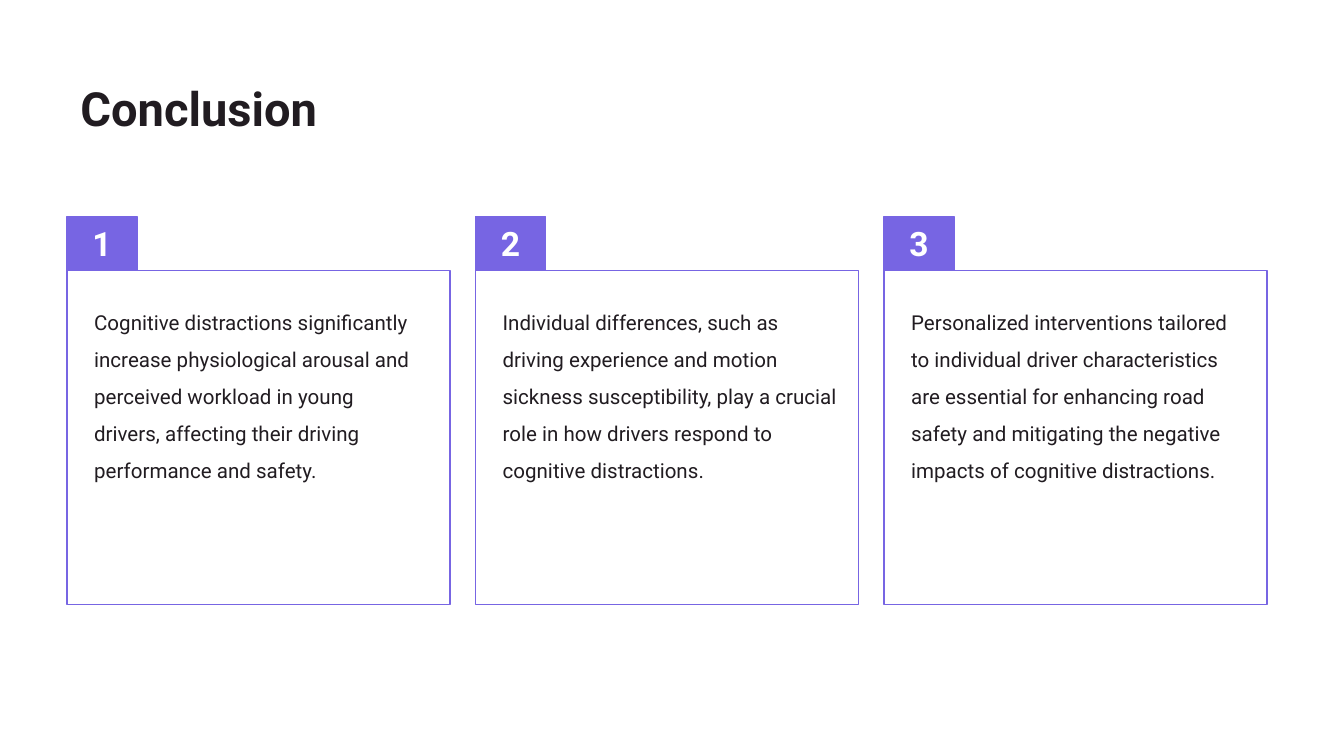
from dataclasses import dataclass

from lxml import etree
from pptx import Presentation
from pptx import util as u
from pptx.dml.color import RGBColor
from pptx.enum import shapes, text
from pptx.oxml.ns import qn


@dataclass(frozen=True)
class Theme:
    font: str = "Roboto"
    ink: RGBColor = RGBColor(0x21, 0x1C, 0x21)
    accent: RGBColor = RGBColor(0x77, 0x65, 0xE3)
    paper: RGBColor = RGBColor(0xFF, 0xFF, 0xFF)
    title: u.Pt = u.Pt(25.2)
    number: u.Pt = u.Pt(18)
    body: u.Pt = u.Pt(11)


theme = Theme()


def add_box(left, top, width, height, fill):
    s = slide.shapes.add_shape(shapes.MSO_SHAPE.RECTANGLE, u.Cm(left), u.Cm(top),
                               u.Cm(width), u.Cm(height))
    s.shadow.inherit = False
    s.fill.solid()
    s.fill.fore_color.rgb = fill
    s.line.color.rgb = theme.accent
    s.line.width = u.Pt(0.75)
    return s


def write(s, words, size, color, bold, align, anchor, insets):
    """Set the only paragraph of a shape; insets are left, top, right, bottom in cm."""
    tf = s.text_frame
    tf.word_wrap = True
    tf.vertical_anchor = anchor
    tf.margin_left, tf.margin_top, tf.margin_right, tf.margin_bottom = map(u.Cm, insets)
    p = tf.paragraphs[0]
    p.text = words
    p.alignment = align
    p.font.name = theme.font
    p.font.size = size
    p.font.bold = bold
    p.font.color.rgb = color
    return p


prs = Presentation()
prs.slide_width, prs.slide_height = u.Cm(25.4), u.Cm(14.29)
slide = prs.slides.add_slide(prs.slide_layouts[6])

left, card_top, card_width, card_height, pitch = 1.27, 5.11, 7.24, 6.32, 7.72
tag_width, tag_height = 1.32, 1.02

# Each conclusion with the right inset of its card
conclusions = [
    ("Cognitive distractions significantly increase physiological arousal and "
     "perceived workload in young drivers, affecting their driving performance "
     "and safety.", 0.51),
    ("Individual differences, such as driving experience and motion sickness "
     "susceptibility, play a crucial role in how drivers respond to cognitive "
     "distractions.", 0.38),
    ("Personalized interventions tailored to individual driver characteristics "
     "are essential for enhancing road safety and mitigating the negative "
     "impacts of cognitive distractions.", 0.38),
]

title = slide.shapes.add_textbox(u.Cm(left), u.Cm(1.24), u.Cm(22.86), u.Cm(1.6))
write(title, "Conclusion", theme.title, theme.ink, True, text.PP_ALIGN.LEFT,
      text.MSO_ANCHOR.MIDDLE, (0.25, 0.25, 0.25, 0.25))

for i, (words, right_inset) in enumerate(conclusions):
    x = left + i * pitch

    card = add_box(x, card_top, card_width, card_height, theme.paper)
    color = card.fill._xPr.find(qn("a:solidFill"))[0]
    etree.SubElement(color, qn("a:alpha"), val="10000")
    p = write(card, words, theme.body, theme.ink, False, text.PP_ALIGN.LEFT,
              text.MSO_ANCHOR.TOP, (0.51, 0.51, right_inset, 0.25))
    p.line_spacing = 1.5
    p.space_after = u.Pt(10)

    tag = add_box(x, card_top - tag_height, tag_width, tag_height, theme.accent)
    write(tag, str(i + 1), theme.number, theme.paper, True, text.PP_ALIGN.CENTER,
          text.MSO_ANCHOR.MIDDLE, (0, 0.25, 0, 0.25))

prs.save("out.pptx")
